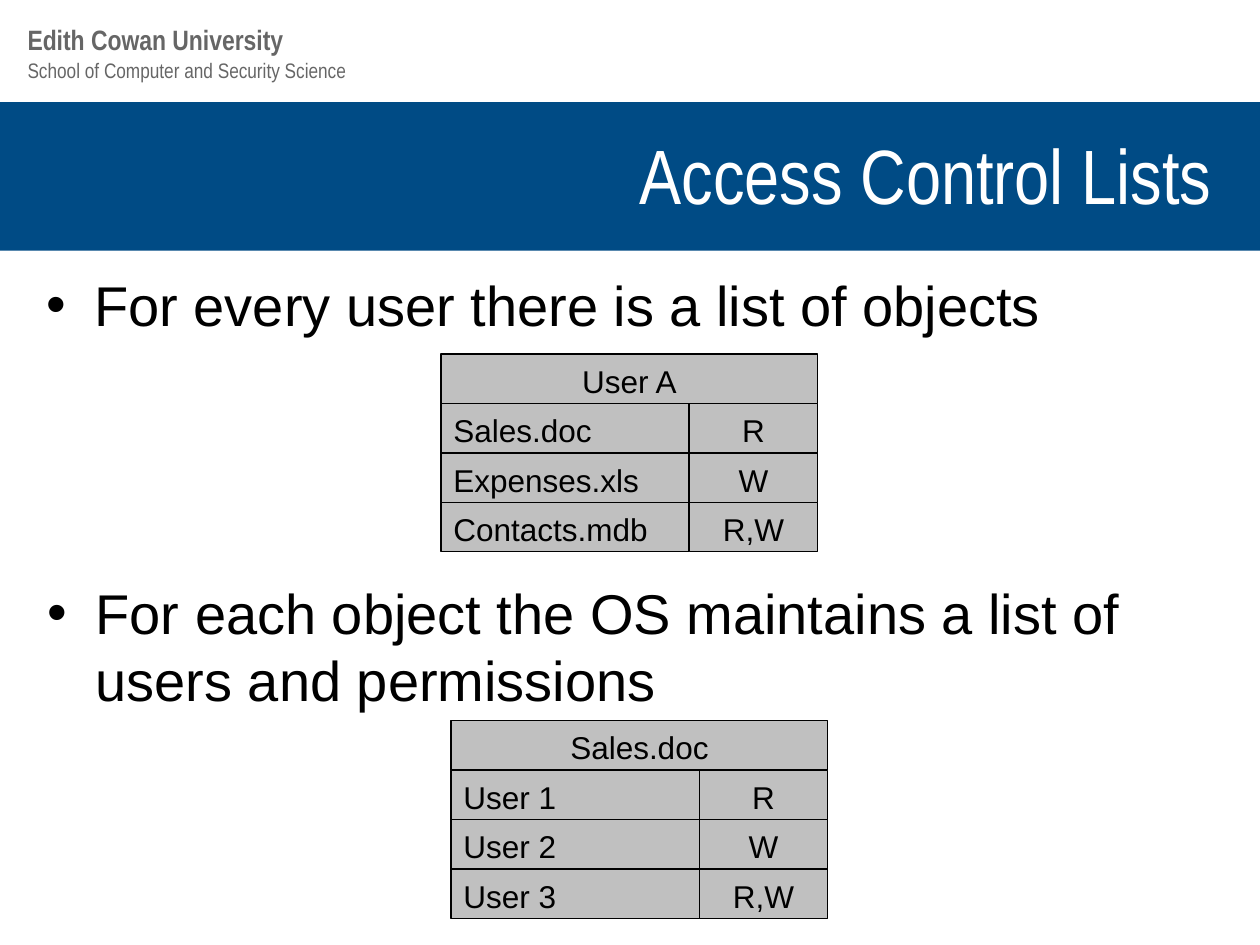
import pptx
import pptx.dml.color
import pptx.enum.shapes
import pptx.enum.text
import pptx.oxml
import pptx.oxml.ns
import pptx.util
from pptx.util import Inches, Pt

COLORS = {"band": "004B85", "heading": "666666", "title": "FFFFFF",
          "text": "000000", "cell": "C0C0C0"}
NARROW, SANS = "Arial Narrow", "Arial"

TITLE = "Access Control Lists"
HEADINGS = [  # text, top, height, size, bold
    ("School of Computer and Security Science", 0.41, 0.3, 12, False),
    ("Edith Cowan University", 0.13, 0.37, 16, True),
]
BULLETS = [  # text, left, top, height
    ("For every user there is a list of objects", 0.27, 2.1, 0.71),
    ("For each object the OS maintains a list of users and permissions", 0.28, 4.54, 1.02),
]
ACCESS_LISTS = [  # left, top, header, rows
    (3.5, 2.81, "User A",
     [("Sales.doc", "R"), ("Expenses.xls", "W"), ("Contacts.mdb", "R,W")]),
    (3.58, 5.72, "Sales.doc",
     [("User 1", "R"), ("User 2", "W"), ("User 3", "R,W")]),
]
NAME_WIDTH, RIGHTS_WIDTH = 1.97, 1.02
LIST_HEIGHT = 1.57

ALIGN = pptx.enum.text.PP_ALIGN
MIDDLE = pptx.enum.text.MSO_ANCHOR.MIDDLE


def rgb(name):
    return pptx.dml.color.RGBColor.from_string(COLORS[name])


def add_run(p, text, size, font, color, bold=False):
    r = p.add_run()
    r.text = text
    r.font.size, r.font.name, r.font.bold = Pt(size), font, bold
    r.font.color.rgb = rgb(color)


def add_text_box(s, left, top, width, height):
    box = s.shapes.add_textbox(Inches(left), Inches(top), Inches(width), Inches(height))
    box.text_frame.word_wrap = True
    return box.text_frame.paragraphs[0]


def add_rectangle(shapes, left, top, width, height, color):
    sp = shapes.add_shape(pptx.enum.shapes.MSO_SHAPE.RECTANGLE, Inches(left),
                          Inches(top), Inches(width), Inches(height))
    sp.shadow.inherit = False
    sp.fill.solid()
    sp.fill.fore_color.rgb = rgb(color)
    return sp


def add_bullet(s, text, left, top, height):
    p = add_text_box(s, left, top, 9.45, height)
    pPr = p._p.get_or_add_pPr()
    pPr.set("marL", str(Inches(0.38)))
    pPr.set("indent", str(Inches(-0.38)))
    for tag in (f'buFont typeface="{SANS}"', 'buChar char="•"'):
        name, attribute = tag.split(" ", 1)
        pPr.append(pptx.oxml.parse_xml(
            f'<a:{name} {pptx.oxml.ns.nsdecls("a")} {attribute}/>'))
    add_run(p, text, 32, SANS, "text")


def add_cell(group, text, left, top, width, height, align):
    cell = add_rectangle(group.shapes, left, top, width, height, "cell")
    cell.line.color.rgb = rgb("text")
    cell.line.width = Pt(0.75)
    tf = cell.text_frame
    tf.word_wrap = True
    tf.vertical_anchor = MIDDLE
    tf.margin_bottom = Inches(0.02)
    p = tf.paragraphs[0]
    p.alignment = align
    add_run(p, text, 18, SANS, "text")


def add_access_list(s, left, top, header, rows):
    """Group a full-width header with one name and rights cell per row."""
    group = s.shapes.add_group_shape()
    height = LIST_HEIGHT / (len(rows) + 1)
    add_cell(group, header, left, top, NAME_WIDTH + RIGHTS_WIDTH, height, ALIGN.CENTER)
    columns = [(left, NAME_WIDTH, ALIGN.LEFT),
               (left + NAME_WIDTH, RIGHTS_WIDTH, ALIGN.CENTER)]
    for texts, (x, width, align) in zip(zip(*rows), columns):
        for i, text in enumerate(texts, start=1):
            add_cell(group, text, x, top + i * height, width, height, align)


def add_title_band(s):
    title = s.shapes.title
    title.left, title.top = Inches(0.27), Inches(0.83)
    title.width, title.height = Inches(9.45), Inches(1.09)
    tf = title.text_frame
    tf.vertical_anchor = MIDDLE
    tf.auto_size = pptx.enum.text.MSO_AUTO_SIZE.NONE
    p = tf.paragraphs[0]
    p.alignment = ALIGN.RIGHT
    add_run(p, TITLE, 44, NARROW, "title")

    band = add_rectangle(s.shapes, 0, 0.81, 10, 1.18, "band")
    band.line.fill.background()
    title._element.addprevious(band._element)  # band sits behind the title


def main():
    prs = pptx.Presentation()
    prs.slide_width, prs.slide_height = Inches(10), Inches(7.5)
    s = prs.slides.add_slide(prs.slide_layouts.get_by_name("Title Only"))
    add_title_band(s)
    for text, top, height, size, bold in HEADINGS:
        p = add_text_box(s, 0.12, top, 5.89, height)
        add_run(p, text, size, NARROW, "heading", bold)
    for bullet in BULLETS:
        add_bullet(s, *bullet)
    for access_list in ACCESS_LISTS:
        add_access_list(s, *access_list)
    prs.save("out.pptx")


if __name__ == "__main__":
    main()
